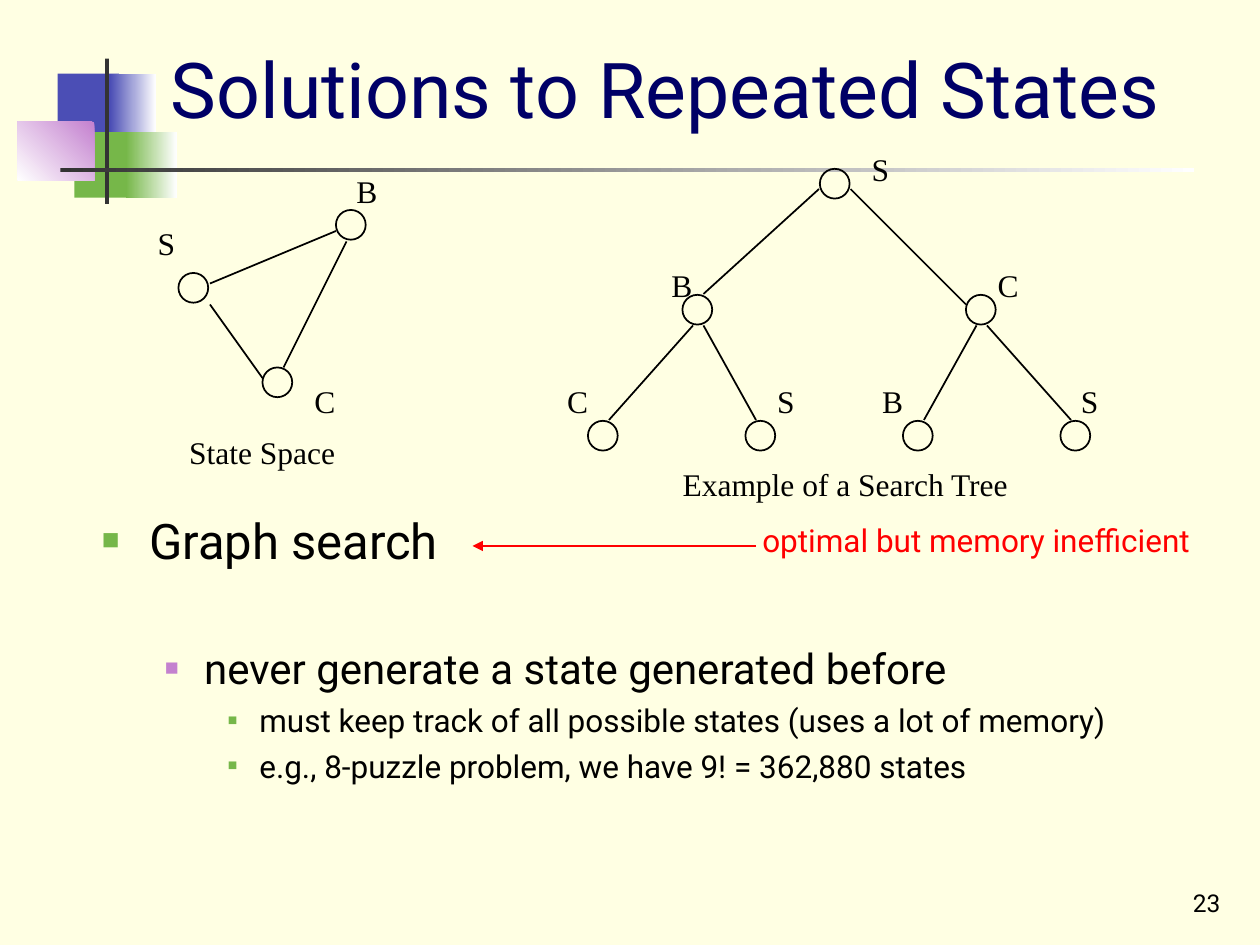
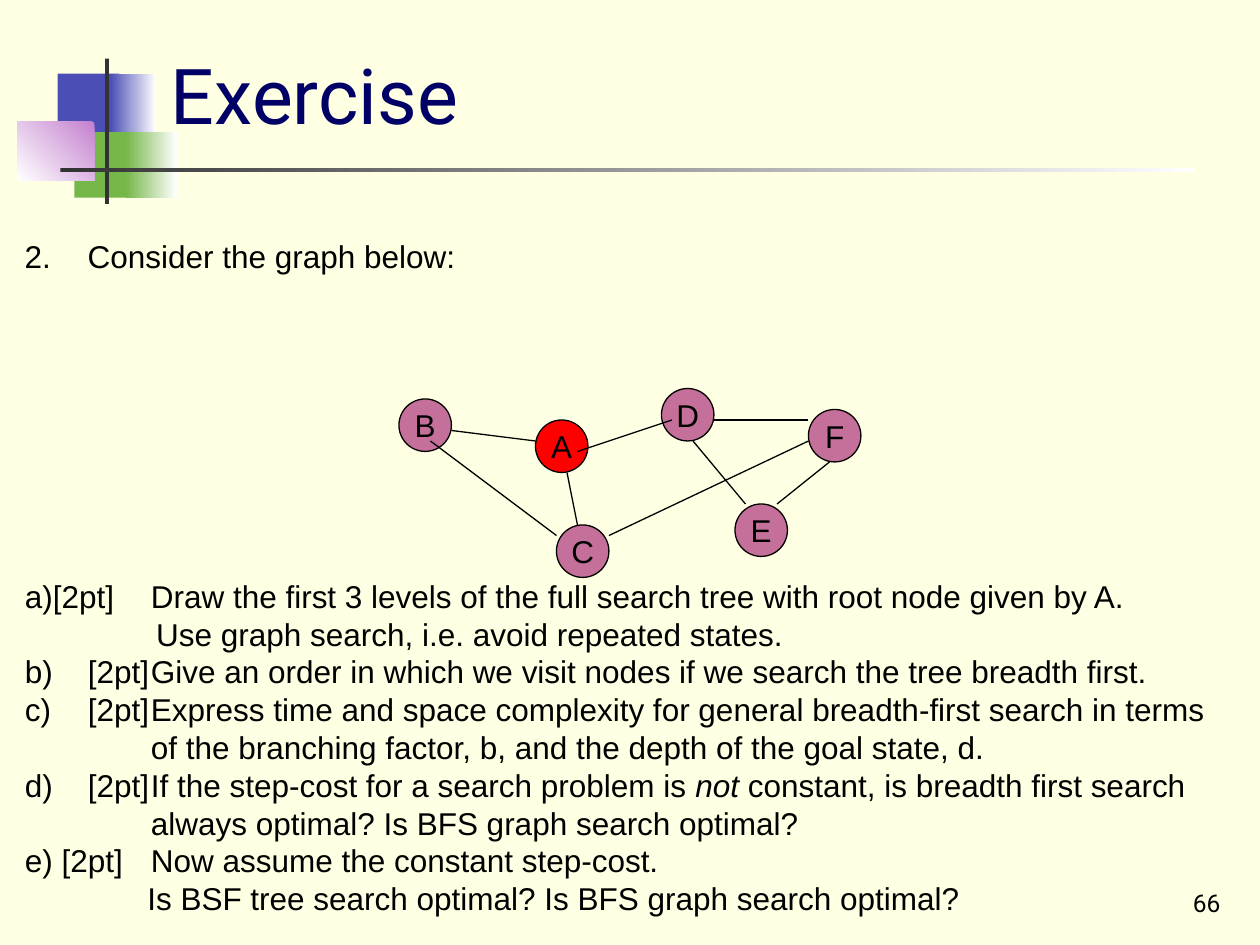
"""Build two search-algorithm slides: repeated states and a graph exercise."""
from dataclasses import dataclass

from lxml import etree
from pptx import Presentation
from pptx import util as u
from pptx.dml.color import RGBColor
from pptx.enum import shapes, text
from pptx.oxml.ns import qn

Pt = u.Pt


@dataclass(frozen=True)
class Theme:
    page: str = "FFFFE3"
    white: str = "FFFFFF"
    ink: str = "000000"
    title: str = "000066"
    blue: str = "4B4EB5"
    green: str = "76B749"
    pink: str = "C481CF"
    bar: str = "333333"
    red: str = "FF0000"
    node: str = "C4709A"
    sans: str = "Roboto"
    serif: str = "Times New Roman"
    plain: str = "Arial"
    title_size: int = 44
    number_size: int = 14
    text_size: int = 18
    list_sizes: tuple = (28, 24, 18)


THEME = Theme()

BANDS = [
    ((33, 42, 35, 37), THEME.blue, None),
    ((63, 42, 26, 37), THEME.blue, 0),
    ((42.5, 75.5, 33, 37.5), THEME.green, None),
    ((72, 75.5, 29, 37.5), THEME.green, 0),
    ((10, 69.5, 44, 33.5), THEME.pink, 225),
    ((60, 33.5, 2.3, 83), THEME.bar, None),
    ((34.5, 96, 648, 2.3), THEME.bar, 0),
]
TITLE_AREA = (90.5, 16.5, 613.5, 67)
NUMBER_AREA = (554.5, 492, 150, 36)

STATES_LIST = [
    (0, 0, "Graph search"),
    (1, 42, "never generate a state generated before"),
    (2, 4.5, "must keep track of all possible states (uses a lot of memory)"),
    (2, 4.5, "e.g., 8-puzzle problem, we have 9! = 362,880 states"),
]
LIST_INDENTS = [(27, 27), (58.5, 22.5), (90, 18)]
BULLETS = [(THEME.green, 60), (THEME.pink, 55), (THEME.green, 50)]

SPACE_NODES = [(102, 156), (150, 210), (192, 120)]
SPACE_EDGES = [(120, 162, 192, 132), (198, 138, 162, 210), (120, 174, 150, 216)]
SPACE_LABELS = [("S", 83, 124.5), ("B", 196.5, 94.5), ("C", 172.5, 214.5)]

TREE_TOP, TREE_STEP = 96.5, 72
TREE_LEVELS = [[468.5], [390, 552], [336 + 90 * leaf for leaf in range(4)]]
TREE_EDGES = [
    (468, 108, 402, 168), (486, 108, 552, 174),
    (396, 186, 348, 240), (402, 186, 432, 240),
    (558, 186, 528, 240), (564, 186, 612, 240),
]
TREE_LABELS = [
    ("S", 491, 82), ("B", 376.5, 148.5), ("C", 563, 148.5),
    ("C", 317, 214.5), ("S", 437, 214.5), ("B", 497, 214.5), ("S", 610.5, 214.5),
]
CAPTIONS = [("State Space", 101, 244, 98), ("Example of a Search Tree", 383, 262, 201)]
REMARK = ("optimal but memory inefficient", 428.5, 294, 277)
REMARK_ARROW = (432, 312, 270, 312)

EXERCISE_LEAD = "2.\tConsider the graph below:"
QUESTION_LINES = [
    ("a)[2pt]", 72, "Draw the first 3 levels of the full search tree with root node given by A."),
    ("", 75, "Use graph search, i.e. avoid repeated states."),
    ("b)\t[2pt]", 72, "Give an order in which we visit nodes if we search the tree breadth first."),
    ("c)\t[2pt]", 72, "Express time and space complexity for general breadth-first search in terms"),
    ("", 72, "of the branching factor, b, and the depth of the goal state, d."),
    ("d)\t[2pt]", 72, "If the step-cost for a search problem is *not* constant, is breadth first search"),
    ("", 72, "always optimal? Is BFS graph search optimal?"),
    ("e) [2pt]", 66, "Now assume the constant step-cost."),
    ("", 70, "Is BSF tree search optimal? Is BFS graph search optimal?"),
]
POINTS_STOP, LINE_PITCH = 26, 21.6
GRAPH_NODES = {
    "A": (306, 240), "D": (378, 222), "B": (228, 228),
    "F": (462, 234), "C": (318, 300), "E": (420, 288),
}
GRAPH_EDGES = [
    (258, 246, 306, 252), (246, 252, 318, 306), (324, 270, 330, 300),
    (330, 258, 384, 240), (396, 252, 426, 288), (348, 306, 462, 252),
    (474, 264, 444, 288), (408, 240, 462, 240),
]


def color(value):
    return RGBColor.from_string(value)


def place(shape, area):
    shape.left, shape.top, shape.width, shape.height = map(Pt, area)


def add_span(para, words, font, size, ink=THEME.ink, italic=None):
    span = para.add_run()
    span.text = words
    span.font.name, span.font.size = font, Pt(size)
    span.font.color.rgb = color(ink)
    span.font.italic = italic


def set_layout(para, left=0, hang=0, bullet=None, stops=()):
    """Set margins, bullet (colour, percent) and tab stops of a paragraph."""
    props = para._p.get_or_add_pPr()
    props.set("marL", str(Pt(left)))
    props.set("indent", str(-Pt(hang)))
    if bullet:
        ink, percent = bullet
        holder = etree.SubElement(props, qn("a:buClr"))
        etree.SubElement(holder, qn("a:srgbClr"), val=ink)
        etree.SubElement(props, qn("a:buSzPct"), val=str(percent * 1000))
        etree.SubElement(props, qn("a:buFont"), typeface=THEME.plain)
        etree.SubElement(props, qn("a:buChar"), char="■")
    else:
        etree.SubElement(props, qn("a:buNone"))
    if stops:
        tabs = etree.SubElement(props, qn("a:tabLst"))
        for stop in stops:
            etree.SubElement(tabs, qn("a:tab"), pos=str(Pt(stop)), algn="l")


def add_text(page, words, area, font, size=THEME.text_size, ink=THEME.ink, fit=True):
    box = page.shapes.add_textbox(*map(Pt, area))
    frame = box.text_frame
    frame.word_wrap = not fit
    frame.auto_size = text.MSO_AUTO_SIZE.SHAPE_TO_FIT_TEXT if fit else text.MSO_AUTO_SIZE.NONE
    add_span(frame.paragraphs[0], words, font, size, ink)
    return frame


def add_shape(page, kind, area):
    shape = page.shapes.add_shape(kind, *map(Pt, area))
    shape.shadow.inherit = False
    return shape


def add_circle(page, x, y, size, width, fill=None):
    circle = add_shape(page, shapes.MSO_SHAPE.OVAL, (x, y, size, size))
    if fill:
        circle.fill.solid()
        circle.fill.fore_color.rgb = color(fill)
    else:
        circle.fill.background()
    circle.line.color.rgb = color(THEME.ink)
    circle.line.width = Pt(width)
    return circle


def add_line(page, ends, width, ink=THEME.ink, arrow=False):
    line = page.shapes.add_connector(shapes.MSO_CONNECTOR.STRAIGHT, *map(Pt, ends))
    line.line.color.rgb = color(ink)
    line.line.width = Pt(width)
    props = line.element.spPr
    if arrow:
        etree.SubElement(props.find(qn("a:ln")), qn("a:tailEnd"), type="triangle")
    etree.SubElement(props, qn("a:effectLst"))


def add_bands(page):
    """Draw the corner blocks and rules, then move them to the shared layout."""
    shared = page.slide_layout.shapes.element
    for area, ink, angle in BANDS:
        band = add_shape(page, shapes.MSO_SHAPE.RECTANGLE, area)
        band.line.fill.background()
        if angle is None:
            band.fill.solid()
            band.fill.fore_color.rgb = color(ink)
        else:
            band.fill.gradient()
            band.fill.gradient_angle = angle
            for stop, shade in zip(band.fill.gradient_stops, (ink, THEME.white)):
                stop.color.rgb = color(shade)
        shared.append(band.element)


def add_page(deck, title, number, anchor):
    page = deck.slides.add_slide(deck.slide_layouts[1])
    place(page.shapes.title, TITLE_AREA)
    frame = page.shapes.title.text_frame
    frame.auto_size, frame.vertical_anchor = text.MSO_AUTO_SIZE.NONE, anchor
    frame.paragraphs[0].alignment = text.PP_ALIGN.LEFT
    add_span(frame.paragraphs[0], title, THEME.sans, THEME.title_size, THEME.title)
    frame = add_text(page, number, NUMBER_AREA, THEME.sans, THEME.number_size, fit=False)
    frame.vertical_anchor = text.MSO_ANCHOR.BOTTOM
    frame.paragraphs[0].alignment = text.PP_ALIGN.RIGHT
    return page


def open_body(page, area):
    body = page.placeholders[1]
    place(body, area)
    body.text_frame.auto_size = text.MSO_AUTO_SIZE.NONE
    return body.text_frame


def next_para(frame, index):
    return frame.add_paragraph() if index else frame.paragraphs[0]


def build_states(page):
    frame = open_body(page, (51, 288, 618, 222))
    for index, (level, before, words) in enumerate(STATES_LIST):
        para = next_para(frame, index)
        para.level = level
        set_layout(para, *LIST_INDENTS[level], bullet=BULLETS[level])
        para.space_before = Pt(before)
        add_span(para, words, THEME.sans, THEME.list_sizes[level])
    tree_nodes = [(x, TREE_TOP + TREE_STEP * depth)
                  for depth, row in enumerate(TREE_LEVELS) for x in row]
    for x, y in SPACE_NODES + tree_nodes:
        add_circle(page, x, y, 17, 1)
    for ends in SPACE_EDGES + TREE_EDGES:
        add_line(page, ends, 1)
    labels = [(*label, 26) for label in SPACE_LABELS + TREE_LABELS]
    for words, x, y, width in labels + CAPTIONS:
        add_text(page, words, (x, y, width, 29), THEME.serif)
    add_line(page, REMARK_ARROW, 0.75, THEME.red, arrow=True)
    words, x, y, width = REMARK
    add_text(page, words, (x, y, width, 29), THEME.sans, ink=THEME.red)


def build_exercise(page):
    frame = add_text(page, EXERCISE_LEAD, (7, 132, 400, 29), THEME.plain, fit=False)
    set_layout(frame.paragraphs[0], stops=[72])
    frame.paragraphs[0].line_spacing = Pt(LINE_PITCH)
    frame = open_body(page, (7, 326, 706, 202))
    for index, (label, left, words) in enumerate(QUESTION_LINES):
        para = next_para(frame, index)
        if label:
            set_layout(para, stops=[POINTS_STOP, left] if "\t" in label else [left])
            add_span(para, label + "\t", THEME.plain, THEME.text_size)
        else:
            set_layout(para, left)
        para.space_before = Pt(0)
        para.line_spacing = Pt(LINE_PITCH)
        for part, piece in enumerate(words.split("*")):
            add_span(para, piece, THEME.plain, THEME.text_size, italic=part % 2 == 1)
    for name, (x, y) in GRAPH_NODES.items():
        circle = add_circle(page, x, y, 30, 0.75, THEME.red if name == "A" else THEME.node)
        circle.text_frame.word_wrap = False
        circle.text_frame.vertical_anchor = text.MSO_ANCHOR.MIDDLE
        para = circle.text_frame.paragraphs[0]
        para.alignment = text.PP_ALIGN.CENTER
        add_span(para, name, THEME.plain, THEME.text_size)
    for ends in GRAPH_EDGES:
        add_line(page, ends, 0.75)


def main():
    deck = Presentation()
    deck.slide_width, deck.slide_height = Pt(720), Pt(540)
    fill = deck.slide_master.background.fill
    fill.solid()
    fill.fore_color.rgb = color(THEME.page)
    states = add_page(deck, "Solutions to Repeated States", "23", text.MSO_ANCHOR.MIDDLE)
    add_bands(states)
    build_states(states)
    build_exercise(add_page(deck, "Exercise", "66", text.MSO_ANCHOR.BOTTOM))
    deck.save("out.pptx")


if __name__ == "__main__":
    main()
